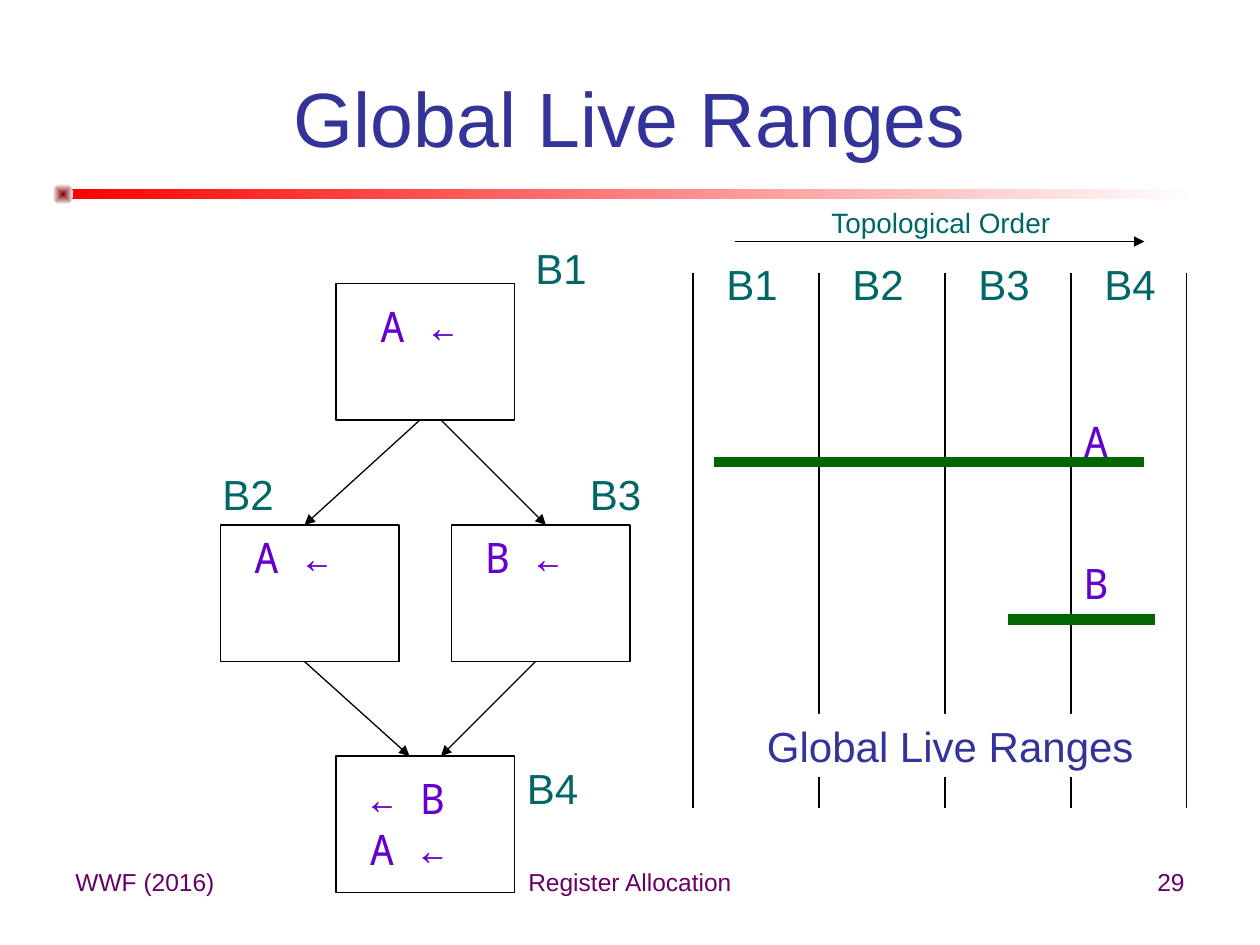
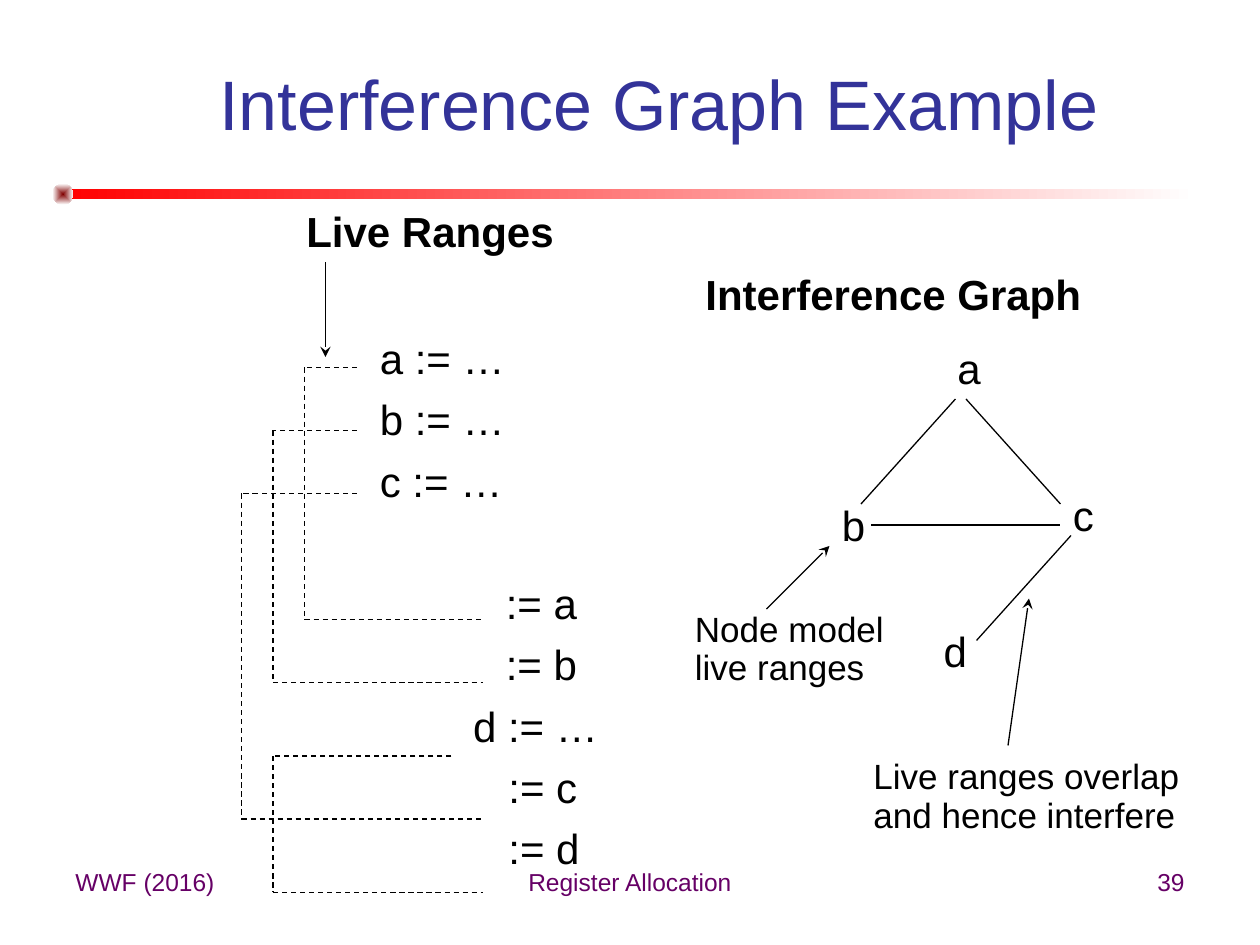
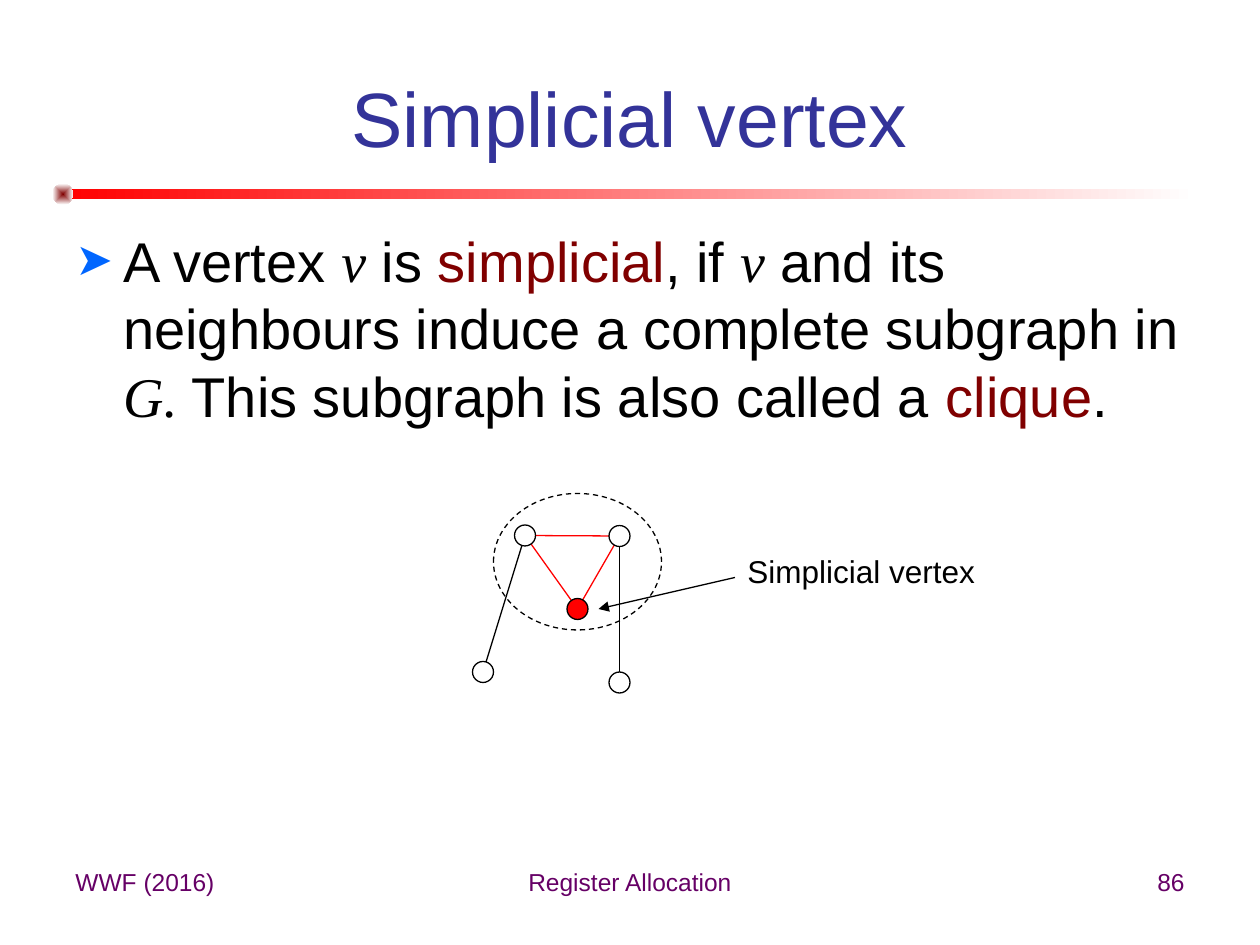
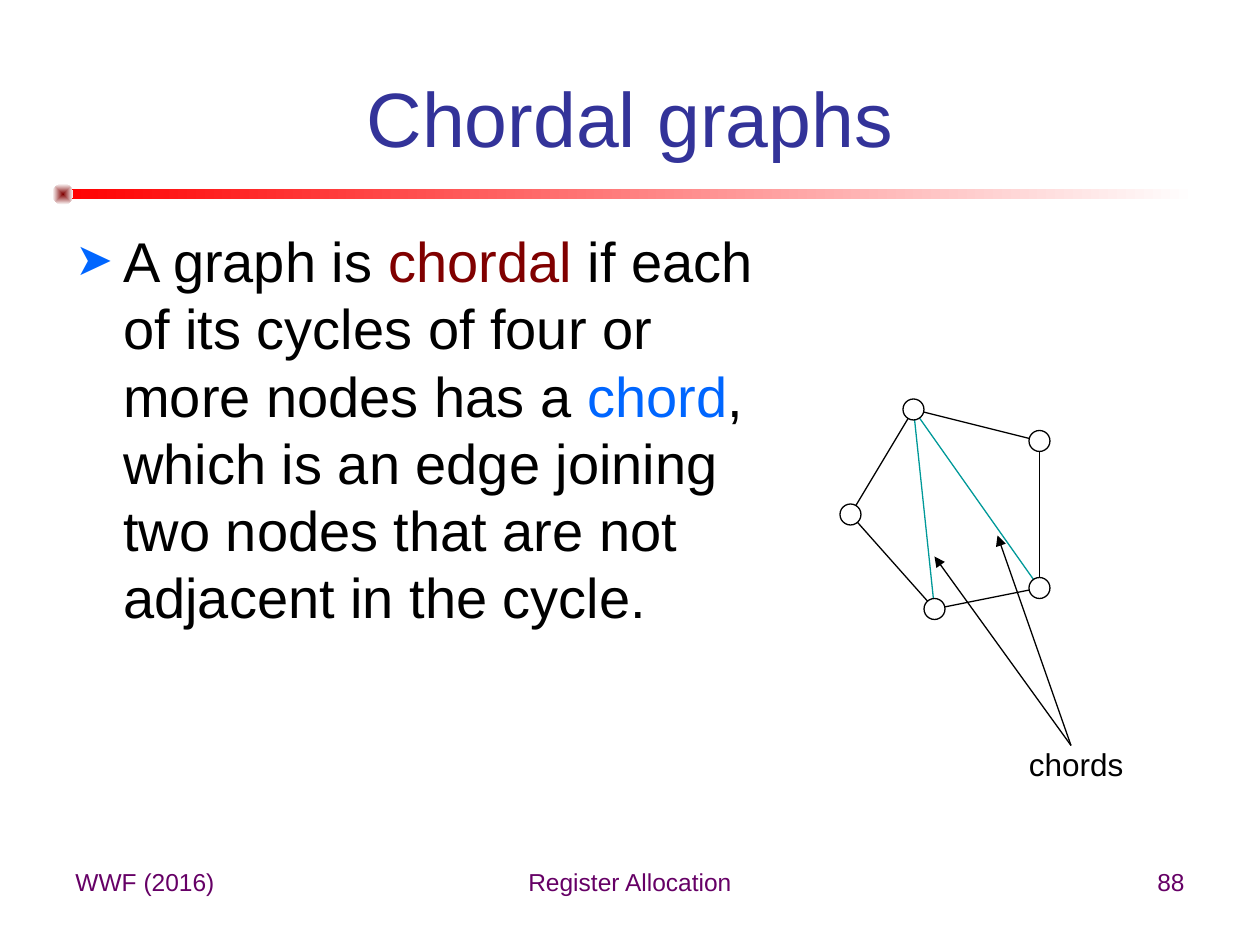
import pptx
import pptx.dml.color
import pptx.enum.dml
import pptx.enum.shapes
import pptx.enum.text
import pptx.oxml
import pptx.oxml.ns
import pptx.util
import lxml.etree

# ---------- Shared style: a grid of 120 columns by 90 rows ----------
WIDTH, HEIGHT, COLUMNS = 10, 7.5, 120
COLORS = {
    "title": "333399", "footer": "660066", "label": "006666", "code": "6600CC",
    "range": "006600", "black": "000000", "white": "FFFFFF", "red": "FF0000",
    "term": "800000", "blue": "0066FF", "chord": "009999",
}
SANS, MONO, SERIF = "Arial", "Noto Sans Mono", "Times New Roman"
ALIGN = pptx.enum.text.PP_ALIGN
SHAPE = pptx.enum.shapes.MSO_SHAPE
FOOTERS = [("WWF (2016)", 6, 28, ALIGN.LEFT), ("Register Allocation", 41, 38, ALIGN.CENTER)]
NODE = 2  # node diameter, in cells

# ---------- Slide 1 content, in cells ----------
BLOCK_SIZE = (17, 13)
BLOCKS = [(32, 27), (21, 50), (43, 50), (32, 72)]
FLOW = [(29, 63, 39, 72), (51, 63, 42, 72), (40, 40, 29, 50), (42, 40, 52, 50)]
BLOCK_CODE = [(["A ←"], 35, 28), (["A ←"], 23, 50), (["← B", "A ←"], 34, 73), (["B ←"], 45, 50)]
BLOCK_LABELS = [("B1", 49.8, 22.5), ("B2", 20, 44), ("B3", 55, 44), ("B4", 49, 72)]
ORDER_COLUMNS = [66, 78, 90, 102, 113]
RANGES = [(68, 109, 44), (96, 110, 59)]

# ---------- Slide 2 content ----------
# statement, indent in inches, space before in points
STATEMENTS = [
    ("a := …", 0, 0), ("b := …", 0, 12), ("c := …", 0, 12), (":= a", 1, 47), (":= b", 1, 12),
    ("d := …", 0.74, 12), (":= c", 1.02, 12), (":= d", 1.02, 12),
]
# definition column and row, bracket column, use column and row
BRACKETS = [(34, 35, 29, 46, 59), (34, 41, 26, 46, 65), (34, 47, 23, 46, 78), (43, 72, 26, 46, 85)]
HEADINGS = [("Live Ranges", 28, 19, 30), ("Interference Graph", 66, 25, 50)]
VARIABLES = [("a", 90, 32), ("b", 79, 47), ("c", 101, 46), ("d", 88.7, 59)]
INTERFERENCES = [(91, 38, 82, 48), (83, 50, 101, 50), (92, 38, 101, 48), (102, 51, 93, 61)]
POINTERS = [(96, 71, 98, 57), (73, 58, 79, 52), (31, 25, 31, 34)]
NOTES = [(["Live ranges overlap", "and hence interfere"], 82, 73, 33),
         (["Node model", "live ranges"], 65, 59, 27)]

# ---------- Slides 3 and 4 content: (text, colour, is variable) ----------
SIMPLICIAL_TEXT = [
    ("A vertex ", "black", False), ("v", "black", True), (" is ", "black", False),
    ("simplicial", "term", False), (", if ", "black", False), ("v", "black", True),
    (" and its neighbours induce a complete subgraph in ", "black", False),
    ("G. ", "black", True), ("This subgraph is also called a ", "black", False),
    ("clique", "term", False), (".", "black", False),
]
# the right node sits a hair lower, so that the red edge keeps its colour when drawn
SIMPLICIAL_NODES = {"left": (50, 51), "right": (59, 51.05), "simplicial": (55, 58),
                    "left leaf": (46, 64), "right leaf": (59, 65)}
SIMPLICIAL_EDGES = [
    ("left", "right", "red"), ("left", "simplicial", "red"), ("simplicial", "right", "red"),
    ("left leaf", "left", "black"), ("right leaf", "right", "black"),
]
CHORDAL_TEXT = [
    ("A graph is ", "black", False), ("chordal", "term", False),
    (" if each of its cycles of four or more nodes has a ", "black", False),
    ("chord", "blue", False),
    (", which is an edge joining two nodes that are not adjacent in the cycle.", "black", False),
]
CHORDAL_NODES = {"top": (87, 39), "west": (81, 49), "east": (99, 42),
                 "bottom": (89, 58), "south-east": (99, 56)}
CHORDAL_EDGES = [
    ("west", "top", "black"), ("top", "east", "black"), ("east", "south-east", "black"),
    ("bottom", "south-east", "black"), ("bottom", "west", "black"),
    ("bottom", "top", "chord"), ("south-east", "top", "chord"),
]
CHORD_POINTERS = [(102, 71, 89, 53), (102, 71, 95, 51)]


# ---------- Helpers ----------
def cells(*counts):
    return [pptx.util.Inches(n * WIDTH / COLUMNS) for n in counts]


def rgb(color):
    return pptx.dml.color.RGBColor.from_string(COLORS[color])


def add_xml(parent, tag, **attributes):
    return lxml.etree.SubElement(parent, pptx.oxml.ns.qn(tag), attributes)


def style(run, size, color, font=SANS, bold=False, italic=False):
    run.font.size = pptx.util.Pt(size)
    run.font.name = font
    run.font.color.rgb = rgb(color)
    run.font.bold, run.font.italic = bold, italic


def write(slide, lines, left, top, width, height=6, size=24, color="black", font=SANS,
          bold=False, align=ALIGN.LEFT, wrap=True, middle=False):
    box = slide.shapes.add_textbox(*cells(left, top, width, height))
    frame = box.text_frame
    frame.word_wrap = wrap
    if middle:
        frame.vertical_anchor = pptx.enum.text.MSO_ANCHOR.MIDDLE
    frame.text = "\n".join([lines] if isinstance(lines, str) else lines)
    for paragraph in frame.paragraphs:
        paragraph.alignment = align
        for run in paragraph.runs:
            style(run, size, color, font, bold)
    return box


def draw_line(shapes, ends, color="black", weight=0.75, head=None, dashed=False):
    line = shapes.add_connector(pptx.enum.shapes.MSO_CONNECTOR.STRAIGHT, *cells(*ends))
    line.line.color.rgb = rgb(color)
    line.line.width = pptx.util.Pt(weight)
    if dashed:
        line.line.dash_style = pptx.enum.dml.MSO_LINE.DASH
    properties = line._element.spPr
    if head:
        add_xml(properties.find(pptx.oxml.ns.qn("a:ln")), "a:tailEnd", type=head)
    add_xml(properties, "a:effectLst")


def draw_shape(shapes, kind, box, fill=None, outlined=True, dashed=False):
    shape = shapes.add_shape(kind, *cells(*box))
    shape.shadow.inherit = False
    if fill:
        shape.fill.solid()
        shape.fill.fore_color.rgb = rgb(fill)
    else:
        shape.fill.background()
    if outlined:
        shape.line.color.rgb = rgb("black")
        shape.line.width = pptx.util.Pt(0.75)
        if dashed:
            shape.line.dash_style = pptx.enum.dml.MSO_LINE.DASH
    else:
        shape.line.fill.background()
    return shape


def fade(shape, color):
    shape.fill.gradient()
    shape.fill.gradient_angle = 0
    for stop, shade in zip(shape.fill.gradient_stops, (color, "white")):
        stop.color.rgb = rgb(shade)
    return shape._element.spPr.find(pptx.oxml.ns.qn("a:gradFill"))


def draw_graph(shapes, nodes, edges, marked=None):
    for start, end, color in edges:
        draw_line(shapes, nodes[start] + nodes[end], color)
    for name, (x, y) in nodes.items():
        draw_shape(shapes, SHAPE.OVAL, (x - NODE / 2, y - NODE / 2, NODE, NODE),
                   "red" if name == marked else "white")


def write_bullet(slide, pieces, width):
    box = write(slide, "", 6, 21, width, 59.4)
    paragraph = box.text_frame.paragraphs[0]
    for text, color, variable in pieces:
        run = paragraph.add_run()
        run.text = text
        style(run, 32, color, SERIF if variable else SANS, italic=variable)
    properties = paragraph._p.get_or_add_pPr()
    indent = pptx.util.Inches(0.38)
    properties.set("marL", str(indent))
    properties.set("indent", str(-indent))
    add_xml(add_xml(properties, "a:buClr"), "a:srgbClr", val=COLORS["blue"])
    add_xml(properties, "a:buSzPct", val="80000")
    add_xml(properties, "a:buFont", typeface=SANS)
    add_xml(properties, "a:buChar", char="➤")


deck = pptx.Presentation()
deck.slide_width, deck.slide_height = pptx.util.Inches(WIDTH), pptx.util.Inches(HEIGHT)


def new_slide(title, number, title_box=(6, 3.6, 108, 15), title_size=44):
    slide = deck.slides.add_slide(deck.slide_layouts[6])
    fade(draw_shape(slide.shapes, SHAPE.RECTANGLE, (6, 18, 108, 1), outlined=False), "red")
    glow = fade(draw_shape(slide.shapes, SHAPE.OVAL, (5, 17.5, 2, 2), outlined=False), "term")
    glow.remove(glow.find(pptx.oxml.ns.qn("a:lin")))
    add_xml(add_xml(glow, "a:path", path="shape"), "a:fillToRect",
            l="50000", t="50000", r="50000", b="50000")
    for text, left, width, align in FOOTERS + [(str(number), 86, 28, ALIGN.RIGHT)]:
        write(slide, text, left, 82, width, size=14, color="footer", align=align)
    write(slide, title, *title_box, size=title_size, color="title", align=ALIGN.CENTER, middle=True)
    return slide


# ---------- Slide 1: flow graph and live ranges ----------
slide = new_slide("Global Live Ranges", 29)
for corner in BLOCKS:
    draw_shape(slide.shapes, SHAPE.RECTANGLE, corner + BLOCK_SIZE)
for ends in FLOW:
    draw_line(slide.shapes, ends, head="triangle")
for code, left, top in BLOCK_CODE:
    write(slide, code, left, top, 13.5, 6 * len(code), color="code", font=MONO)
order_labels = [(f"B{i + 1}", left + 2, 24) for i, left in enumerate(ORDER_COLUMNS[:-1])]
for text, left, top in BLOCK_LABELS + order_labels:
    write(slide, text, left, top, 7.3, color="label", wrap=False)
for column in ORDER_COLUMNS:
    draw_line(slide.shapes, (column, 26, column, 77))
names = write(slide, ["A", "B"], 102, 39, 8, 20.4, color="code", font=MONO)
names.text_frame.paragraphs[1].space_before = pptx.util.Pt(52)
for start, end, row in RANGES:
    draw_line(slide.shapes, (start, row, end, row), "range", 6)
caption = write(slide, "Global Live Ranges", 70, 68, 41, color="title", align=ALIGN.CENTER)
caption.fill.solid()
caption.fill.fore_color.rgb = rgb("white")
draw_line(slide.shapes, (70, 23, 109, 23), head="triangle")
write(slide, "Topological Order", 78, 19, 23.6, 4.4, size=16, color="label", wrap=False)

# ---------- Slide 2: live ranges and their interference graph ----------
slide = new_slide("Interference Graph Example", 39, (13.9, 6.6, 97.7, 6.4), 40)
for text, left, top, width in HEADINGS:
    write(slide, text, left, top, width, bold=True)
program = write(slide, [text for text, _, _ in STATEMENTS], 35, 32, 25, 50)
for paragraph, (_, indent, gap) in zip(program.text_frame.paragraphs, STATEMENTS):
    paragraph.line_spacing = 0.8
    paragraph.space_before = pptx.util.Pt(gap)
    paragraph._p.get_or_add_pPr().set("marL", str(pptx.util.Inches(indent)))
for x1, y1, bracket, x2, y2 in BRACKETS:
    for ends in [(x1, y1, bracket, y1), (bracket, y1, bracket, y2), (bracket, y2, x2, y2)]:
        draw_line(slide.shapes, ends, dashed=True)
for text, left, top in VARIABLES:
    write(slide, text, left, top, 6)
for ends in INTERFERENCES:
    draw_line(slide.shapes, ends)
for ends in POINTERS:
    draw_line(slide.shapes, ends, head="stealth")
for lines, left, top, width in NOTES:
    note = write(slide, lines, left, top, width, 7.2, size=20)
    for i, paragraph in enumerate(note.text_frame.paragraphs):
        paragraph.line_spacing = 0.5
        paragraph.space_before = pptx.util.Pt(10 * i)

# ---------- Slide 3: simplicial vertex ----------
slide = new_slide("Simplicial vertex", 86)
write_bullet(slide, SIMPLICIAL_TEXT, 108)
draw_graph(slide.shapes, SIMPLICIAL_NODES, SIMPLICIAL_EDGES, marked="simplicial")
draw_shape(slide.shapes, SHAPE.OVAL, (47, 47, 16, 13), dashed=True)
draw_line(slide.shapes, (70, 55, 57, 58), head="triangle")
write(slide, "Simplicial vertex", 70, 52, 24.1, 4.8, size=18, wrap=False)

# ---------- Slide 4: chordal graph ----------
slide = new_slide("Chordal graphs", 88)
write_bullet(slide, CHORDAL_TEXT, 69)
draw_graph(slide.shapes.add_group_shape().shapes, CHORDAL_NODES, CHORDAL_EDGES)
for ends in CHORD_POINTERS:
    draw_line(slide.shapes, ends, head="triangle")
write(slide, "chords", 96.8, 70.4, 11.4, 4.8, size=18, wrap=False)

deck.save("out.pptx")
